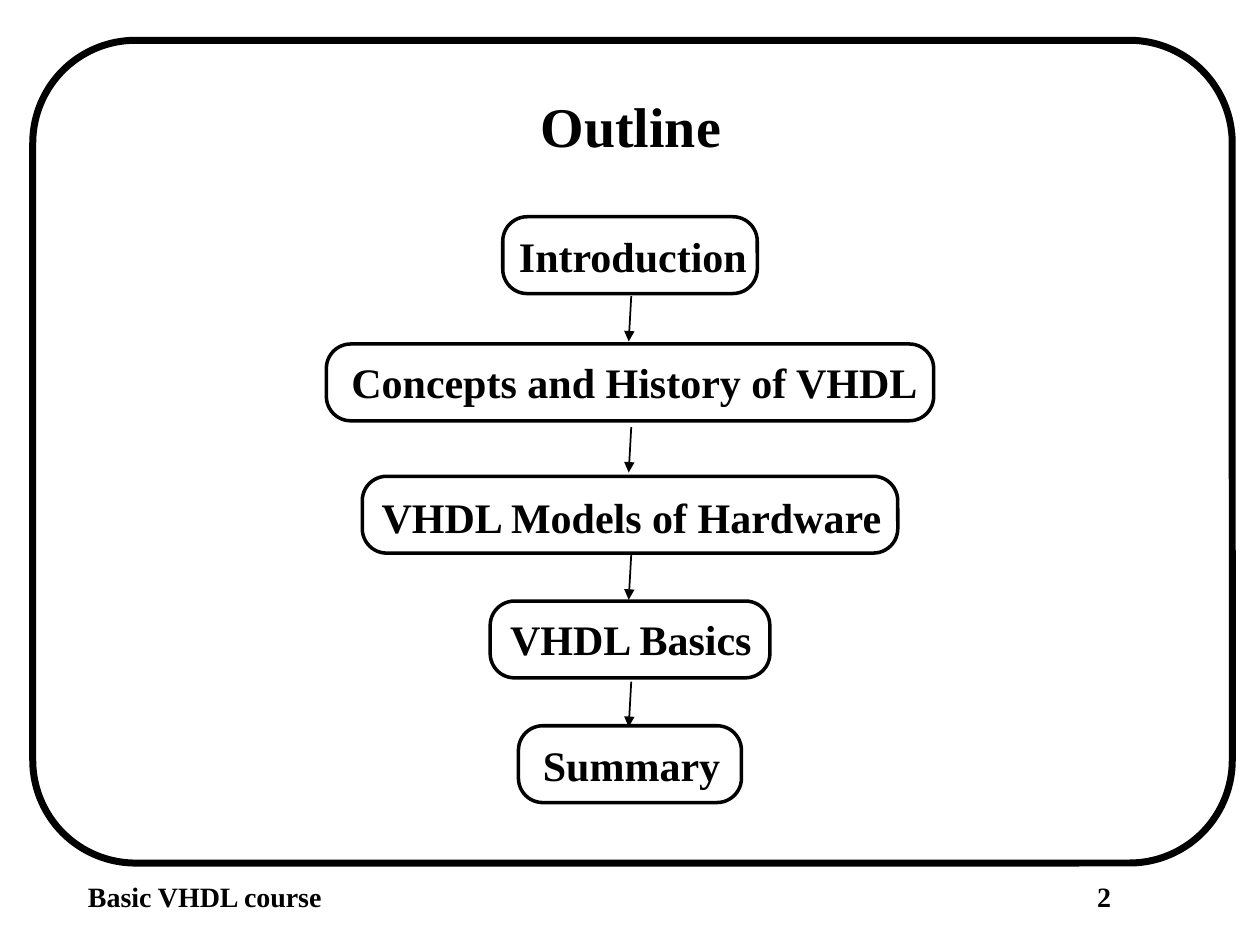
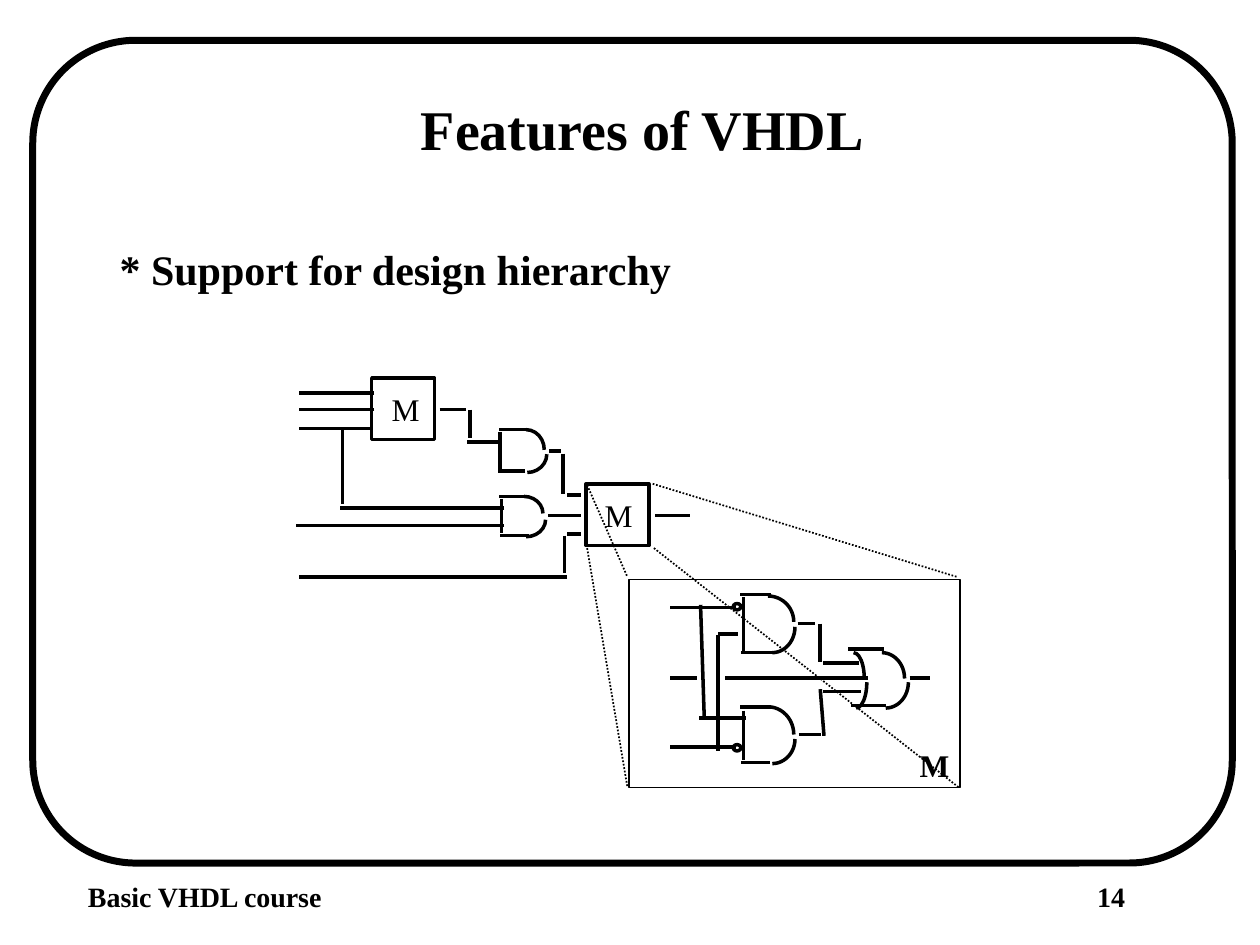
import pptx
import pptx.dml.color
import pptx.enum.dml
import pptx.enum.shapes
import pptx.enum.text
import pptx.oxml.ns
import pptx.util
from lxml import etree

PX = 9144  # EMU per px, 100 px to the inch
BLACK = pptx.dml.color.RGBColor(0, 0, 0)
WHITE = pptx.dml.color.RGBColor(255, 255, 255)
FONT = "Times New Roman"
SHAPE = pptx.enum.shapes.MSO_SHAPE
DOTTED = pptx.enum.dml.MSO_LINE.ROUND_DOT

# Shared content: text boxes and frames are left, top, width, height
COURSE = "Basic VHDL course"
COURSE_BOX = (60, 693, 207, 36)
NUMBER_BOX = (861, 693, 120, 36)
FRAME = (26, 32, 952, 653)

# Outline: label, label box left and top, label width, step top, step width
OUTLINE_TITLE = ("Outline", (419, 68, 183, 63))
STEPS = [
    ("Introduction", 402, 178, 201, 172, 202),
    ("Concepts and History of VHDL", 269, 278, 470, 273, 482),
    ("VHDL Models of Hardware", 293, 385, 419, 378, 425),
    ("VHDL Basics", 395, 482, 213, 477, 222),
    ("Summary", 421, 582, 161, 576, 177),
]
STEP_CENTRE, STEP_HEIGHT, LABEL_HEIGHT = 500, 61, 50
ARROW_TOPS, ARROW_HEIGHT = [235, 339, 440, 541], 36

# Features: the circuit, and module M opened up
FEATURES_TITLE = ("Features of VHDL", (324, 70, 393, 63))
FEATURE = ("* Support for design hierarchy", (85, 188, 459, 50))
MODULES = [(295, 300, 50, 49), (465, 384, 50, 49)]
MODULE_LABELS = [(301, 305, 42, 40), (470, 389, 42, 40)]
DETAIL = (499, 460, 263, 165)
DETAIL_LABEL = (720, 587, 43, 40)
INVERTERS = [(582, 479, 6, 5), (582, 591, 6, 5)]

# Gates: boxes of upper and lower arc pairs, then straight edges
GATES = [
    ([((403, 341, 29, 32), (403, 346, 31, 29))],
     [(417, 374, 395, 374), (418, 341, 396, 341), (397, 343, 397, 372)]),
    ([((401, 394, 30, 27), (402, 399, 31, 27))],
     [(420, 425, 397, 425), (418, 394, 396, 394), (398, 396, 398, 423)]),
    ([((589, 473, 41, 41), (595, 477, 36, 41))],
     [(614, 518, 588, 518), (612, 472, 587, 472), (590, 474, 590, 517)]),
    ([((589, 561, 41, 44), (595, 567, 36, 39))],
     [(611, 605, 588, 605), (612, 561, 587, 561), (590, 564, 590, 603)]),
    ([((682, 518, 36, 41), (685, 521, 36, 41)),
      ((669, 518, 17, 41), (671, 521, 17, 41))],
     [(703, 560, 675, 560), (702, 515, 673, 515)]),
]

# Wires: x and y of both ends
CIRCUIT_WIRES = [
    (297, 312, 237, 312), (297, 325, 237, 325), (296, 340, 237, 340),
    (349, 325, 370, 325), (373, 325, 373, 348), (396, 351, 371, 351),
    (436, 358, 445, 358), (447, 360, 447, 392), (450, 393, 461, 393),
    (435, 409, 461, 409), (450, 424, 461, 424), (448, 425, 448, 455),
    (450, 458, 237, 458), (400, 403, 270, 403), (272, 341, 272, 400),
    (400, 417, 235, 417), (520, 409, 548, 409),
]
DETAIL_WIRES = [
    (584, 482, 532, 482), (584, 593, 532, 593), (570, 596, 570, 504),
    (570, 503, 586, 503), (592, 570, 571, 570), (568, 570, 555, 570),
    (559, 571, 556, 480), (634, 583, 652, 583), (654, 584, 651, 547),
    (653, 549, 683, 549), (633, 495, 647, 495), (651, 495, 651, 525),
    (653, 526, 682, 526), (689, 538, 575, 538), (553, 538, 532, 538),
    (722, 538, 738, 538),
]
ZOOM_LINES = [(518, 384, 760, 458), (519, 435, 761, 625),
              (466, 385, 498, 458), (466, 435, 498, 625)]


def px(values):
    return [round(value * PX) for value in values]


def write(holder, text, size, bold=True):
    frame = holder.text_frame
    frame.margin_left = frame.margin_right = 10 * PX
    frame.margin_top = frame.margin_bottom = 5 * PX
    frame.word_wrap = False
    frame.auto_size = pptx.enum.text.MSO_AUTO_SIZE.SHAPE_TO_FIT_TEXT
    frame.vertical_anchor = pptx.enum.text.MSO_ANCHOR.TOP
    paragraph = frame.paragraphs[0]
    paragraph.alignment = pptx.enum.text.PP_ALIGN.LEFT
    run = paragraph.add_run()
    run.text = text
    run.font.name = FONT
    run.font.size = pptx.util.Pt(size)
    run.font.bold = bold
    run.font.color.rgb = BLACK


def add_text(slide, text, box, size, bold=True):
    write(slide.shapes.add_textbox(*px(box)), text, size, bold)


def add_outline(slide, kind, box, width=2, adjustments=()):
    outline = slide.shapes.add_shape(kind, *px(box))
    outline.shadow.inherit = False
    outline.fill.background()
    outline.line.color.rgb = BLACK
    outline.line.width = pptx.util.Pt(width)
    for index, value in enumerate(adjustments):
        outline.adjustments[index] = value


def add_wire(slide, ends, width=2, dash=None, arrow=False):
    wire = slide.shapes.add_connector(
        pptx.enum.shapes.MSO_CONNECTOR.STRAIGHT, *px(ends))
    wire.line.color.rgb = BLACK
    wire.line.width = pptx.util.Pt(width)
    if dash:
        wire.line.dash_style = dash
    qn = pptx.oxml.ns.qn
    properties = wire._element.spPr
    if arrow:
        etree.SubElement(properties.find(qn("a:ln")), qn("a:tailEnd"), type="triangle")
    etree.SubElement(properties, qn("a:effectLst"))


def add_gate(slide, arc_pairs, edges):
    for upper, lower in arc_pairs:
        add_outline(slide, SHAPE.ARC, upper)
        add_outline(slide, SHAPE.ARC, lower, adjustments=(0, 54))  # 0 to 90 degrees
    for edge in edges:
        add_wire(slide, edge)


def add_slide(deck, title, number):
    """Slide with frame, footer, number and title."""
    slide = deck.slides.add_slide(deck.slide_layouts[5])
    slide.background.fill.solid()
    slide.background.fill.fore_color.rgb = WHITE
    add_outline(slide, SHAPE.ROUNDED_RECTANGLE, FRAME, 4, (0.125,))
    add_text(slide, str(number), NUMBER_BOX, 16)
    add_text(slide, COURSE, COURSE_BOX, 16)
    text, box = title
    heading = slide.shapes.title
    heading.left, heading.top, heading.width, heading.height = px(box)
    write(heading, text, 32)
    return slide


def build_outline(deck):
    slide = add_slide(deck, OUTLINE_TITLE, 2)
    for label, left, label_top, label_width, top, width in STEPS:
        add_text(slide, label, (left, label_top, label_width, LABEL_HEIGHT), 24)
        step = (STEP_CENTRE - width / 2, top, width, STEP_HEIGHT)
        add_outline(slide, SHAPE.ROUNDED_RECTANGLE, step, adjustments=(0.317,))
    for top in ARROW_TOPS:
        ends = (STEP_CENTRE + 1, top, STEP_CENTRE - 1, top + ARROW_HEIGHT)
        add_wire(slide, ends, 1, arrow=True)


def build_features(deck):
    slide = add_slide(deck, FEATURES_TITLE, 14)
    add_text(slide, *FEATURE, 24)
    for arc_pairs, edges in GATES:
        add_gate(slide, arc_pairs, edges)
    for inverter in INVERTERS:
        add_outline(slide, SHAPE.OVAL, inverter)
    for wire in CIRCUIT_WIRES + DETAIL_WIRES:
        add_wire(slide, wire)
    # Modules and the enlarged view
    for module, label in zip(MODULES, MODULE_LABELS):
        add_outline(slide, SHAPE.RECTANGLE, module)
        add_text(slide, "M", label, 18, bold=False)
    add_outline(slide, SHAPE.RECTANGLE, DETAIL, 1)
    add_text(slide, "M", DETAIL_LABEL, 18)
    for ends in ZOOM_LINES:
        add_wire(slide, ends, 1, DOTTED)


def main():
    deck = pptx.Presentation()
    deck.slide_width, deck.slide_height = px((1000, 750))
    build_outline(deck)
    build_features(deck)
    deck.save("out.pptx")


if __name__ == "__main__":
    main()
